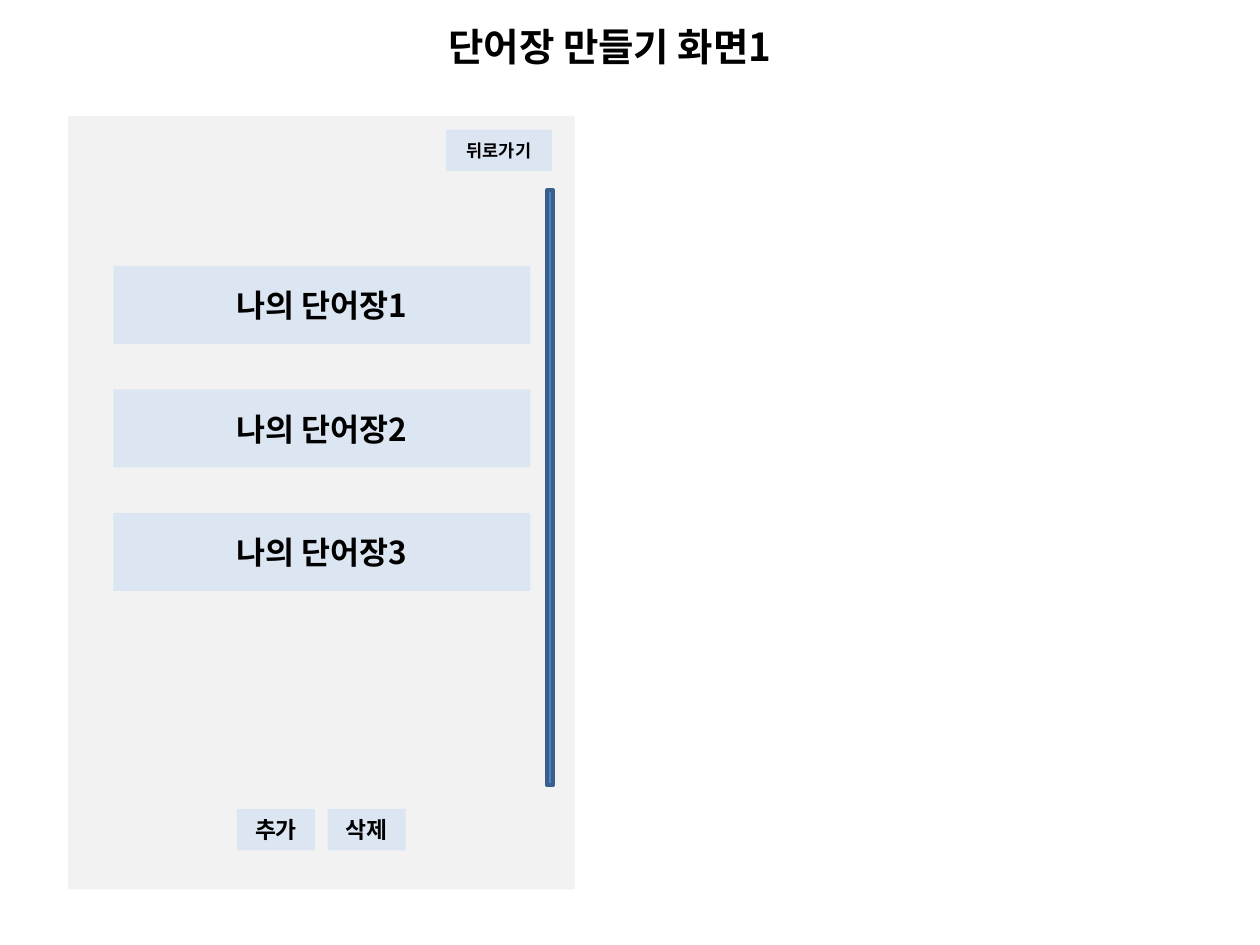
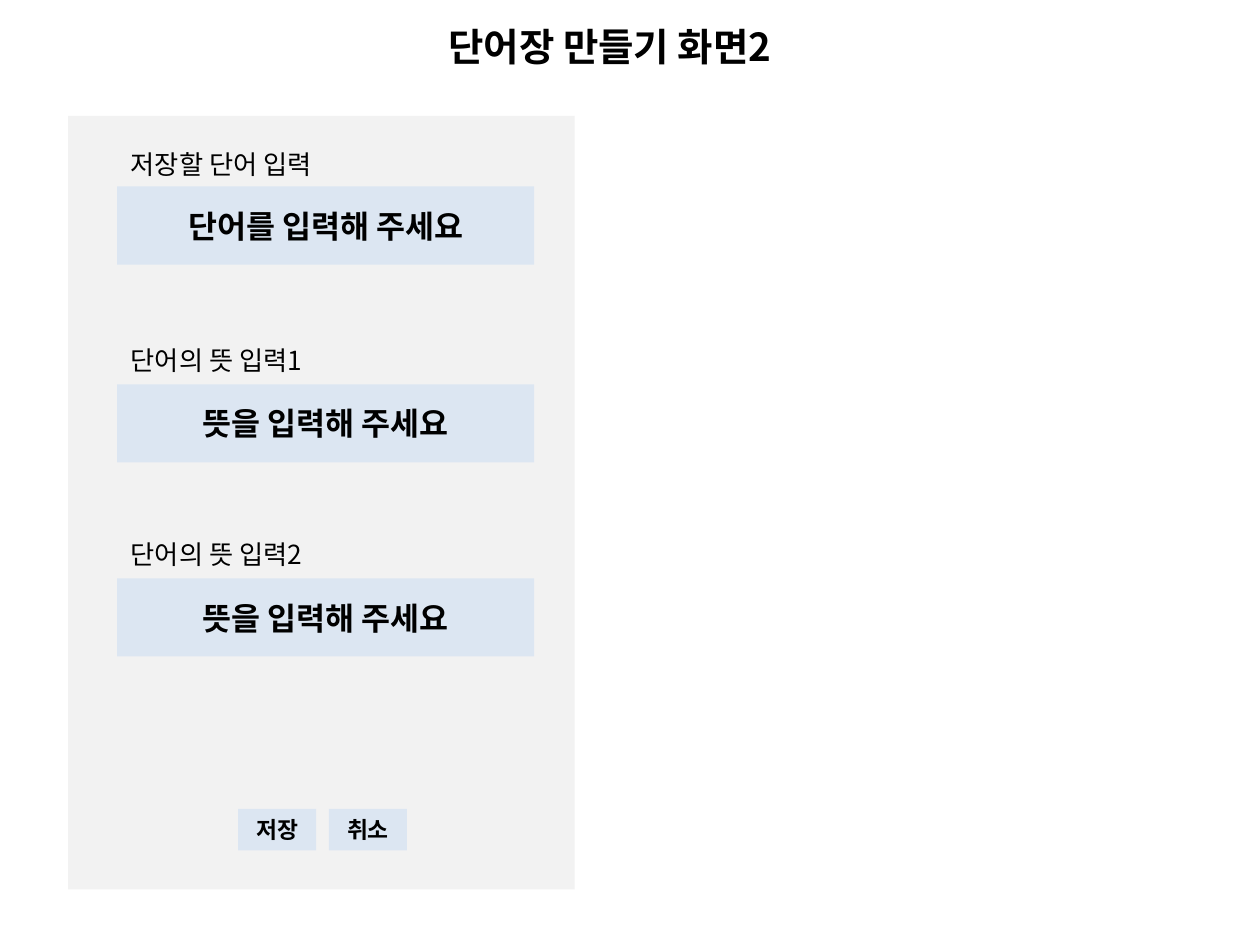
import pptx
import pptx.dml.color
import pptx.enum.shapes
import pptx.enum.text
import pptx.oxml
import pptx.oxml.ns
import pptx.util

Inches = pptx.util.Inches
RGBColor = pptx.dml.color.RGBColor
Align = pptx.enum.text.PP_ALIGN
Anchor = pptx.enum.text.MSO_ANCHOR

BLACK = RGBColor(0x00, 0x00, 0x00)
SCREEN_GREY = RGBColor(0xF2, 0xF2, 0xF2)
FIELD_BLUE = RGBColor(0xDC, 0xE6, 0xF2)
BAR_BLUE = RGBColor(0x4F, 0x81, 0xBD)
BAR_EDGE = RGBColor(0x3A, 0x5F, 0x8C)
FONT = "Noto Sans CJK KR"


def write(frame, text, size, bold=True, align=Align.CENTER, anchor=Anchor.MIDDLE):
    """Put one formatted paragraph into a text frame."""
    frame.word_wrap = True
    frame.vertical_anchor = anchor
    para = frame.paragraphs[0]
    para.alignment = align
    span = para.add_run()
    span.text = text
    span.font.name = FONT
    span.font.size = pptx.util.Pt(size)
    span.font.bold = bold
    span.font.color.rgb = BLACK
    east_asian = pptx.oxml.parse_xml(
        f'<a:ea {pptx.oxml.ns.nsdecls("a")} typeface="{FONT}"/>')
    span.font._element.find(pptx.oxml.ns.qn("a:latin")).addnext(east_asian)


class Wireframe:
    """Draws the elements of app screens on the current page."""

    def __init__(self, deck):
        self.deck = deck
        self.page = None

    def start(self, title):
        """Add a page with its title and the empty phone screen."""
        self.page = self.deck.slides.add_slide(self.deck.slide_layouts[6])
        self.rectangle(0.54, 0.92, 4.02, 6.14, SCREEN_GREY)
        self.text(3.23, 0.13, 3.22, 0.47, title, size=22)

    def rectangle(self, left, top, width, height, fill):
        """Add a plain filled rectangle without an outline."""
        box = self.page.shapes.add_shape(
            pptx.enum.shapes.MSO_SHAPE.RECTANGLE,
            Inches(left), Inches(top), Inches(width), Inches(height))
        box.shadow.inherit = False
        box.fill.solid()
        box.fill.fore_color.rgb = fill
        box.line.fill.background()
        return box

    def text(self, left, top, width, height, text, **style):
        """Add a text box that grows with its text."""
        box = self.page.shapes.add_textbox(
            Inches(left), Inches(top), Inches(width), Inches(height))
        box.text_frame.auto_size = pptx.enum.text.MSO_AUTO_SIZE.SHAPE_TO_FIT_TEXT
        write(box.text_frame, text, anchor=Anchor.TOP, **style)

    def field(self, left, top, text):
        """Add a wide field."""
        write(self.rectangle(left, top, 3.31, 0.62, FIELD_BLUE).text_frame, text, 18)

    def button(self, left, top, text, width=0.62, size=13):
        """Add a small button."""
        write(self.rectangle(left, top, width, 0.33, FIELD_BLUE).text_frame, text, size)

    def bottom_buttons(self, left, labels):
        """Add a row of buttons at the foot of the screen."""
        for index, label in enumerate(labels):
            self.button(left + 0.72 * index, 6.42, label)

    def scroll_bar(self):
        """Add the scroll bar at the right of the screen."""
        bar = self.rectangle(4.34, 1.51, 0.05, 4.72, BAR_BLUE)
        bar.line.color.rgb = BAR_EDGE
        bar.line.width = pptx.util.Pt(2)


def build_list_screen(frame):
    """Build the screen that lists the word books."""
    frame.start("단어장 만들기 화면1")
    for index in range(3):
        frame.field(0.9, 2.11 + 0.98 * index, f"나의 단어장{index + 1}")
    frame.button(3.54, 1.03, "뒤로가기", width=0.84, size=10)
    frame.bottom_buttons(1.88, ["추가", "삭제"])
    frame.scroll_bar()


def build_entry_screen(frame):
    """Build the screen where a word and its meanings are entered."""
    frame.start("단어장 만들기 화면2")
    entries = [
        (1.13, "저장할 단어 입력", 1.48, "단어를 입력해 주세요"),
        (2.68, "단어의 뜻 입력1", 3.05, "뜻을 입력해 주세요"),
        (4.22, "단어의 뜻 입력2", 4.59, "뜻을 입력해 주세요"),
    ]
    for label_top, label, field_top, prompt in entries:
        frame.field(0.93, field_top, prompt)
        frame.text(0.94, label_top, 2.9, 0.35, label,
                   size=15, bold=False, align=Align.LEFT)
    frame.bottom_buttons(1.89, ["저장", "취소"])


def main():
    """Build and save the deck."""
    deck = pptx.Presentation()
    deck.slide_width = Inches(10)
    deck.slide_height = Inches(7.5)
    frame = Wireframe(deck)
    build_list_screen(frame)
    build_entry_screen(frame)
    deck.save("out.pptx")


if __name__ == "__main__":
    main()
